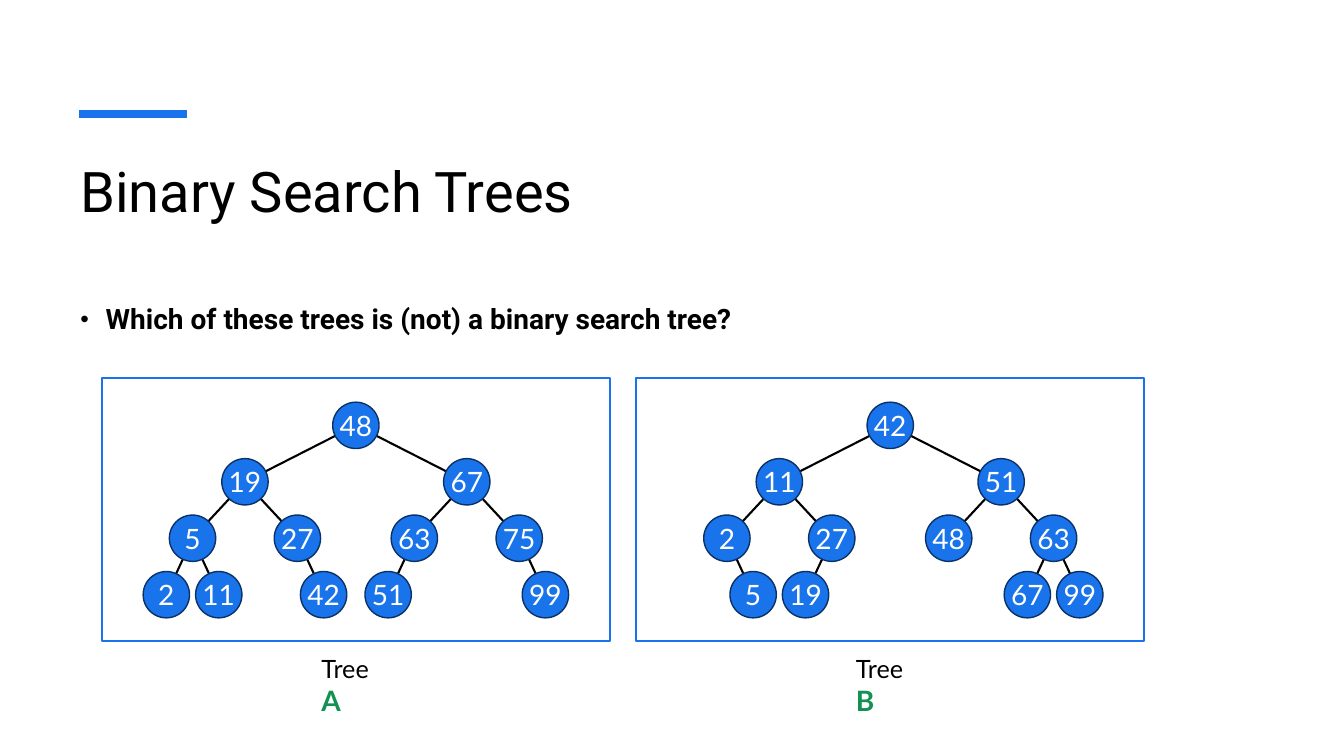
from lxml.etree import SubElement
from pptx import Presentation
from pptx.dml.color import RGBColor
from pptx.enum.shapes import MSO_CONNECTOR, MSO_SHAPE
from pptx.enum.text import MSO_ANCHOR, PP_ALIGN
from pptx.oxml.ns import qn
from pptx.util import Inches, Pt

BLUE, NAVY, GREEN = "1973EB", "0B3267", "139152"
BLACK, WHITE = "000000", "FFFFFF"

NODE_SIZE = 0.46
ROOT_Y = 4.22
LEVEL_STEP = 0.56
# Horizontal distance between a node and its parent, by level
SPREAD = (0, 1.1, 0.52, 0.26)

# Values level by level; None marks a missing child
TREES = {
    "A": [48, 19, 67, 5, 27, 63, 75, 2, 11, None, 42, 51, None, None, 99],
    "B": [42, 11, 51, 2, 27, 48, 63, None, 5, 19, None, None, None, 67, 99],
}
FRAME_LEFT, FRAME_TOP, FRAME_STEP = 1.01, 3.75, 5.3
FRAME_WIDTH, FRAME_HEIGHT = 5.04, 2.61


def color(hex_string):
    return RGBColor.from_string(hex_string)


def set_font(font, name, size, hex_color, bold=False):
    font.name = name
    font.size = Pt(size)
    font.color.rgb = color(hex_color)
    font.bold = bold


def add_text(slide, left, top, width, height, text=""):
    """Add a wrapping text box and return its first paragraph."""
    box = slide.shapes.add_textbox(
        Inches(left), Inches(top), Inches(width), Inches(height))
    box.text_frame.word_wrap = True
    paragraph = box.text_frame.paragraphs[0]
    paragraph.text = text
    return paragraph


def add_bullet(paragraph):
    properties = paragraph._p.get_or_add_pPr()
    properties.set("marL", str(Inches(0.25)))
    properties.set("indent", str(Inches(-0.25)))
    SubElement(properties, qn("a:buSzPct"), val="87000")
    SubElement(properties, qn("a:buFont"), typeface="Arial")
    SubElement(properties, qn("a:buChar"), char="•")


def add_line(slide, start, end, hex_color, width):
    line = slide.shapes.add_connector(
        MSO_CONNECTOR.STRAIGHT, *map(Inches, (*start, *end)))
    line.line.color.rgb = color(hex_color)
    line.line.width = Pt(width)
    SubElement(line._element.spPr, qn("a:effectLst"))


def add_node(slide, center, value):
    x, y = center
    node = slide.shapes.add_shape(
        MSO_SHAPE.OVAL, Inches(x - NODE_SIZE / 2), Inches(y - NODE_SIZE / 2),
        Inches(NODE_SIZE), Inches(NODE_SIZE))
    node.shadow.inherit = False
    node.fill.solid()
    node.fill.fore_color.rgb = color(BLUE)
    node.line.color.rgb = color(NAVY)
    node.line.width = Pt(1)
    frame = node.text_frame
    frame.margin_left = frame.margin_right = 0
    frame.vertical_anchor = MSO_ANCHOR.MIDDLE
    paragraph = frame.paragraphs[0]
    paragraph.text = str(value)
    paragraph.alignment = PP_ALIGN.CENTER
    set_font(paragraph.font, "Lato", 20, WHITE)


def node_centers(root_x, count):
    """Return the centre of every position of a complete binary tree."""
    centers = [(root_x, ROOT_Y)]
    for index in range(1, count):
        parent_x, parent_y = centers[(index - 1) // 2]
        level = (index + 1).bit_length() - 1
        side = -1 if index % 2 else 1
        centers.append((parent_x + side * SPREAD[level], parent_y + LEVEL_STEP))
    return centers


def add_tree(slide, root_x, values):
    centers = node_centers(root_x, len(values))
    present = [index for index, value in enumerate(values) if value is not None]
    for index in present[1:]:
        add_line(slide, centers[(index - 1) // 2], centers[index], BLACK, 1.5)
    for index in present:
        add_node(slide, centers[index], values[index])


def add_frame(slide, left):
    frame = slide.shapes.add_shape(
        MSO_SHAPE.RECTANGLE, Inches(left), Inches(FRAME_TOP),
        Inches(FRAME_WIDTH), Inches(FRAME_HEIGHT))
    frame.shadow.inherit = False
    frame.fill.background()
    frame.line.color.rgb = color(BLUE)
    frame.line.width = Pt(1.5)


def add_caption(slide, left, letter):
    paragraph = add_text(slide, left, 6.43, 0.86, 0.44)
    for text, size, hex_color, bold in (
            ("Tree ", 18, BLACK, False), (letter, 20, GREEN, True)):
        run = paragraph.add_run()
        run.text = text
        set_font(run.font, "Lato", size, hex_color, bold)


def main():
    presentation = Presentation()
    presentation.slide_width = Inches(13.33)
    presentation.slide_height = Inches(7.5)
    slide = presentation.slides.add_slide(presentation.slide_layouts[6])

    add_line(slide, (0.78, 1.13), (1.85, 1.13), BLUE, 6)
    title = add_text(slide, 0.7, 1.5, 11.91, 1.2, "Binary Search Trees")
    set_font(title.font, "Roboto", 40, BLACK)
    question = add_text(slide, 0.7, 2.88, 6.76, 1.2,
                        "Which of these trees is (not) a binary search tree?")
    set_font(question.font, "Roboto", 20, BLACK, bold=True)
    question.line_spacing = 1.2
    question.space_before = Pt(10)
    add_bullet(question)

    for number, (letter, values) in enumerate(TREES.items()):
        left = FRAME_LEFT + number * FRAME_STEP
        add_tree(slide, left + FRAME_WIDTH / 2, values)
        add_caption(slide, left + 2.08, letter)
        add_frame(slide, left)

    presentation.save("out.pptx")


if __name__ == "__main__":
    main()
